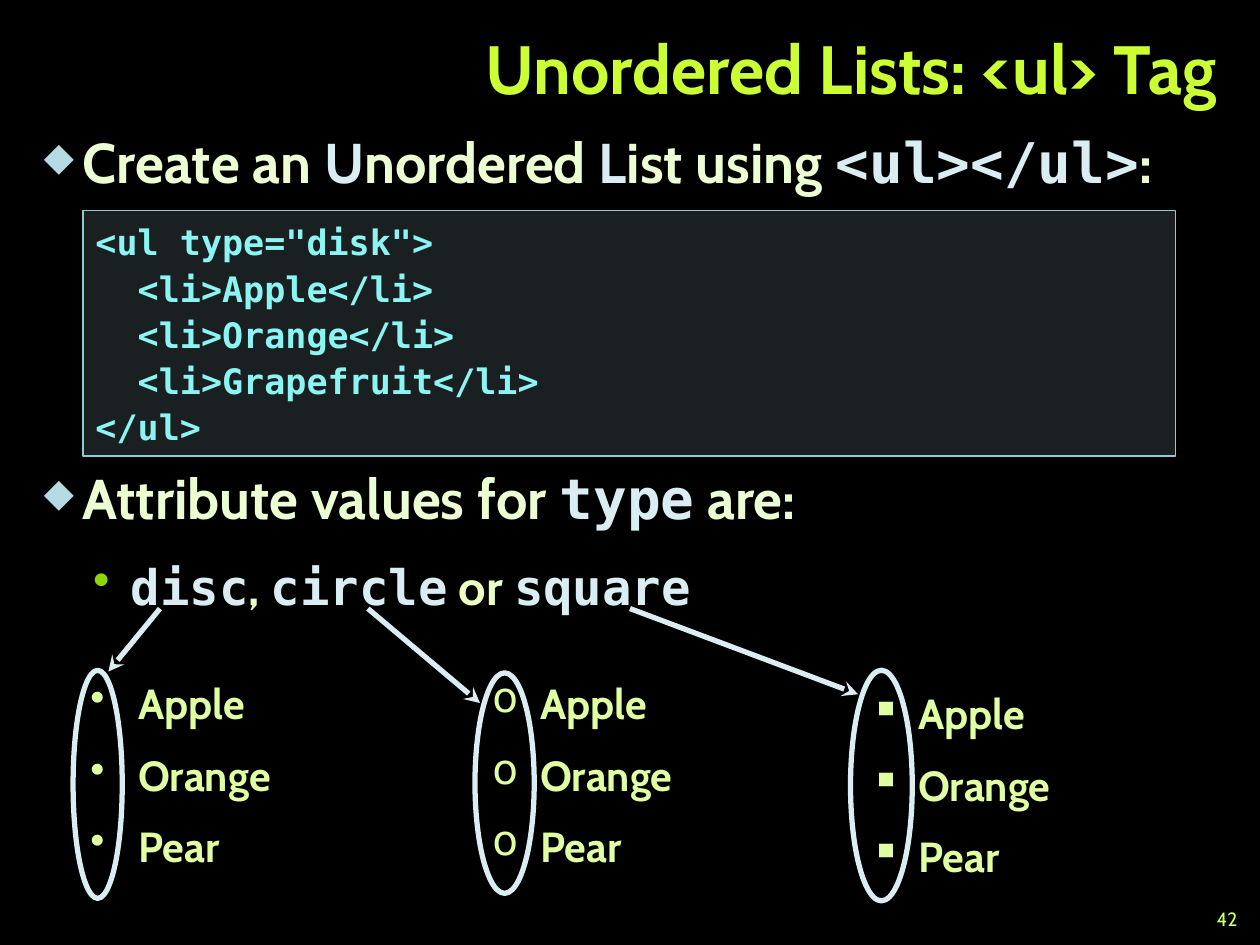
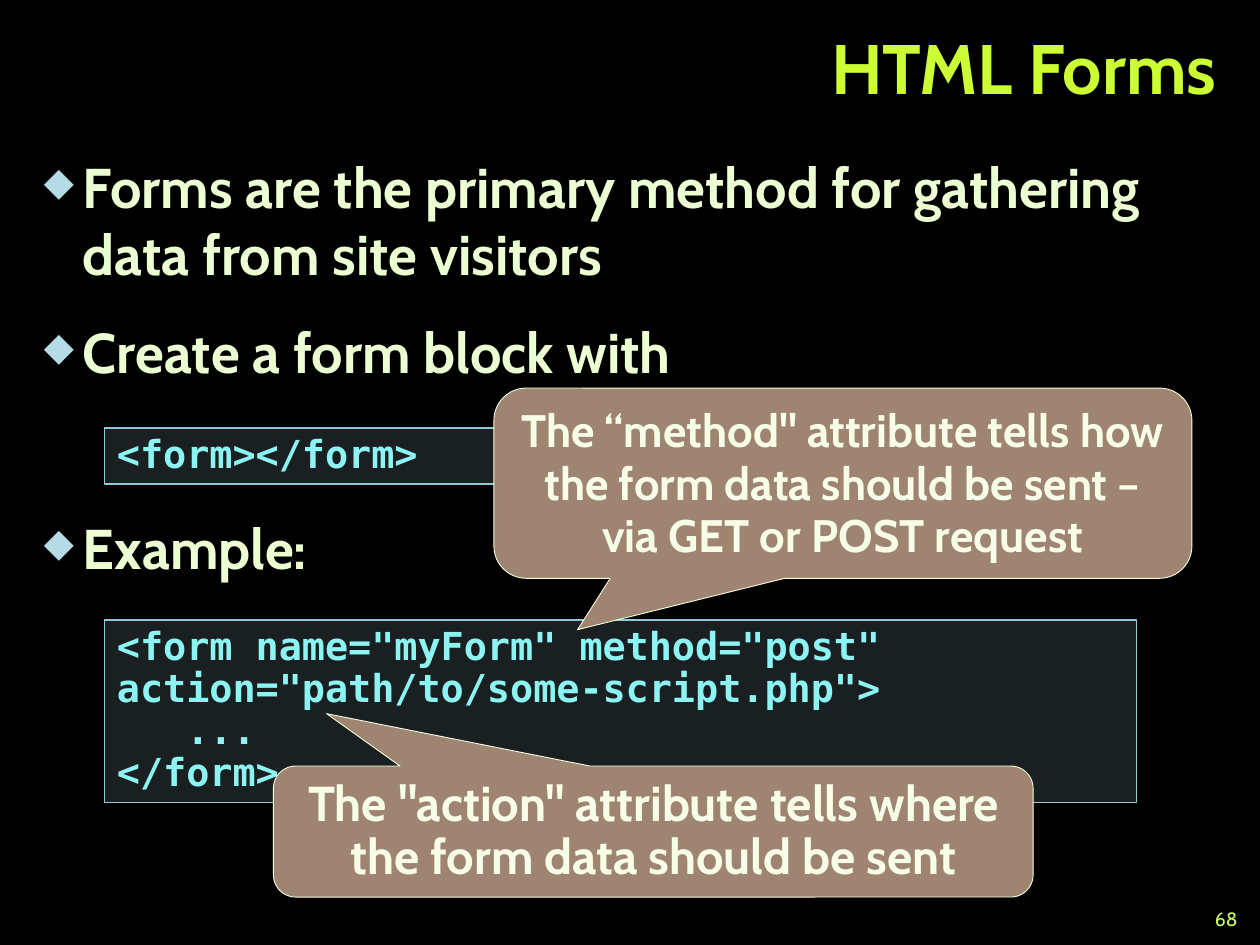
import dataclasses

import lxml.etree
import pptx
import pptx.dml.color
import pptx.enum.shapes
import pptx.enum.text
import pptx.oxml.ns
import pptx.util

Inches = pptx.util.Inches
Pt = pptx.util.Pt
Shape = pptx.enum.shapes.MSO_SHAPE
Align = pptx.enum.text.PP_ALIGN
Anchor = pptx.enum.text.MSO_ANCHOR
qn = pptx.oxml.ns.qn


@dataclasses.dataclass(frozen=True)
class Theme:
    sans: str = "Cabin"
    mono: str = "DejaVu Sans Mono"
    back: str = "000000"
    title: str = "CCFF33"
    body: str = "EBFFD2"
    sub: str = "EBFFC2"
    mark: str = "DAEDF2"
    diamond: str = "B5DBE5"
    dot: str = "8FD600"
    item: str = "E0FFA3"
    page: str = "CCFF66"
    code: str = "8CF4F2"
    edge: str = "90CAD7"
    note: str = "9F8471"
    rim: str = "F5FFE0"
    say: str = "F7FFE7"
    big: int = 32
    mid: int = 28
    small: int = 24
    tiny: int = 11


def color(code):
    return pptx.dml.color.RGBColor.from_string(code)


def add(parent, tag, **attrs):
    node = lxml.etree.SubElement(parent, qn(tag))
    for key, val in attrs.items():
        node.set(key, str(val))
    return node


def assign(target, values):
    for key, val in values.items():
        setattr(target, key, val)


class Deck:
    """The theme, the file and the slide being filled."""

    def __init__(self, theme):
        self.theme = theme
        self.file = pptx.Presentation()
        assign(self.file, {"slide_width": Inches(10), "slide_height": Inches(7.5)})

    def slide(self, title, size, page):
        look = self.theme
        self.page = self.file.slides.add_slide(self.file.slide_layouts[6])
        fill = self.page.background.fill
        fill.solid()
        fill.fore_color.rgb = color(look.back)
        right = {"alignment": Align.RIGHT}
        frame = self.box((2, 0.08, 7.75, 1), Anchor.MIDDLE)
        self.para(frame, [(title, look.sans, look.title)], size,
                  right | {"line_spacing": Pt(40)})
        frame = self.box((9.42, 7.17, 0.5, 0.25), Anchor.MIDDLE)
        self.para(frame, [(str(page), look.sans, look.page)], look.tiny, right, bold=False)

    def box(self, area, anchor=Anchor.TOP):
        frame = self.page.shapes.add_textbox(*map(Inches, area)).text_frame
        assign(frame, {"word_wrap": True, "vertical_anchor": anchor})
        return frame

    def para(self, frame, runs, size, form, bullet=None, bold=True):
        """Fill the frame's empty first paragraph, or append one; runs are (text, font, colour)."""
        para = frame.paragraphs[0]
        if para.runs:
            para = frame.add_paragraph()
        else:
            form = {key: val for key, val in form.items() if key != "space_before"}
        assign(para, form)
        if bullet:
            self.bullet(para, **bullet)
        for text, name, tone in runs:
            run = para.add_run()
            run.text = text
            assign(run.font, {"name": name, "size": Pt(size), "bold": bold})
            run.font.color.rgb = color(tone)

    def bullet(self, para, char, left, hang, tone, scale=100):
        props = para._p.get_or_add_pPr()
        props.set("marL", str(Inches(left)))
        props.set("indent", str(-Inches(hang)))
        add(add(props, "a:buClr"), "a:srgbClr", val=tone)
        add(props, "a:buSzPct", val=scale * 1000)
        add(props, "a:buChar", char=char)

    def point(self, frame, runs, pitch, before=6):
        mark = {"char": "◆", "left": 0.31, "hang": 0.31,
                "tone": self.theme.diamond, "scale": 70}
        self.para(frame, runs, self.theme.big, spacing(pitch, before), mark)

    def shape(self, kind, area, line, width, fill=None, alpha=None):
        shape = self.page.shapes.add_shape(kind, *map(Inches, area))
        shape.shadow.inherit = False
        shape.line.color.rgb = color(line)
        shape.line.width = Pt(width)
        if fill:
            shape.fill.solid()
            shape.fill.fore_color.rgb = color(fill)
        else:
            shape.fill.background()
        if alpha:
            tone = shape.fill._xPr.find(qn("a:solidFill"))[0]
            add(tone, "a:alpha", val=alpha * 1000)
        return shape

    def code(self, area, lines, size, pitch):
        look = self.theme
        shape = self.shape(Shape.RECTANGLE, area, look.edge, 1, look.diamond, 15)
        frame = shape.text_frame
        assign(frame, {"word_wrap": True, "vertical_anchor": Anchor.TOP})
        form = {"alignment": Align.LEFT, "line_spacing": pitch}
        for line in lines:
            self.para(frame, [(line, look.mono, look.code)], size, form)

    def callout(self, area, tip, text, size):
        look = self.theme
        shape = self.shape(Shape.ROUNDED_RECTANGULAR_CALLOUT, area, look.rim, 0.5, look.note)
        for spot, val in enumerate((*tip, 0.17)):
            shape.adjustments[spot] = val
        frame = shape.text_frame
        assign(frame, {"word_wrap": True, "vertical_anchor": Anchor.MIDDLE})
        self.para(frame, [(text, look.sans, look.say)], size,
                  {"alignment": Align.CENTER, "line_spacing": Pt(30)})

    def arrow(self, start, end):
        line = self.page.shapes.add_connector(
            pptx.enum.shapes.MSO_CONNECTOR.STRAIGHT, *map(Inches, (*start, *end)))
        line.line.color.rgb = color(self.theme.mark)
        line.line.width = Pt(3)
        add(line.line._get_or_add_ln(), "a:tailEnd", type="stealth")
        add(line._element.spPr, "a:effectLst")

    def fruits(self, area, char):
        look = self.theme
        frame = self.box(area)
        mark = {"char": char, "left": 0.38, "hang": 0.38, "tone": look.item}
        for name in ("Apple", "Orange", "Pear"):
            self.para(frame, [(name, look.sans, look.item)], look.small,
                      {"space_before": Pt(12)}, mark)

    def ring(self, area):
        self.shape(Shape.OVAL, area, self.theme.mark, 3)


def spacing(pitch, before):
    return {"line_spacing": Pt(pitch), "space_before": Pt(before), "space_after": Pt(6)}


def lists(deck):
    look = deck.theme

    def plain(text, tone=look.body):
        return text, look.sans, tone

    def tag(text):
        return text, look.mono, look.mark

    deck.slide("Unordered Lists: <ul> Tag", 39, 42)
    body = deck.box((0.25, 1, 9.5, 6.33))
    deck.point(body, [plain("Create an "), plain("U", look.mark), plain("nordered "),
                      plain("L", look.mark), plain("ist using "), tag("<ul></ul>"),
                      plain(":")], 36)
    deck.point(body, [plain("Attribute values for "), tag("type"), plain(" are:")], 36, 150)
    deck.para(body, [tag("disc"), plain(", ", look.sub), tag("circle"),
                     plain(" or ", look.sub), tag("square")], look.mid, spacing(36, 6),
              {"char": "•", "left": 0.69, "hang": 0.3, "tone": look.dot})

    samples = [
        ("•", (0.62, 5.33, 1.83, 1.72), (0.58, 5.32, 0.39, 1.81), 1.27, (0.86, 5.33)),
        ("o", (3.81, 5.33, 2.08, 1.72), (3.77, 5.34, 0.47, 1.75), 2.92, (3.81, 5.58)),
        ("▪", (6.81, 5.41, 2.08, 1.72), (6.75, 5.32, 0.49, 1.83), 5, (6.81, 5.51)),
    ]
    for char, area, ring, start, end in samples:
        deck.arrow((start, 4.83), end)
        deck.fruits(area, char)
        deck.ring(ring)
    deck.code((0.66, 1.67, 8.67, 1.95),
              ['<ul type="disk">', "  <li>Apple</li>", "  <li>Orange</li>",
               "  <li>Grapefruit</li>", "</ul>"], 20, 1.1)


def forms(deck):
    look = deck.theme
    deck.slide("HTML Forms", 40, 68)
    body = deck.box((0.25, 1.17, 9.5, 6.17))
    points = [
        ("Forms are the primary method for gathering data from site visitors", 12),
        ("Create a form block with", 12),
        ("Example:", 68),
    ]
    for text, before in points:
        deck.point(body, [(text, look.sans, look.body)], 38, before)
    deck.code((0.83, 3.4, 8.19, 0.44), ["<form></form>"], 22, Pt(24))
    deck.code((0.83, 4.92, 8.19, 1.45),
              ['<form name="myForm" method="post" action="path/to/some-script.php">',
               "   ...", "</form>"], 22, Pt(24))
    deck.callout((2.17, 6.08, 6.03, 1.04), (-0.43, -0.9),
                 'The "action" attribute tells where the form data should be sent', 28)
    deck.callout((3.92, 3.08, 5.54, 1.51), (-0.38, 0.77),
                 'The “method" attribute tells how the form data should be sent – '
                 'via GET or POST request', 26)


def main():
    deck = Deck(Theme())
    lists(deck)
    forms(deck)
    deck.file.save("out.pptx")


if __name__ == "__main__":
    main()
